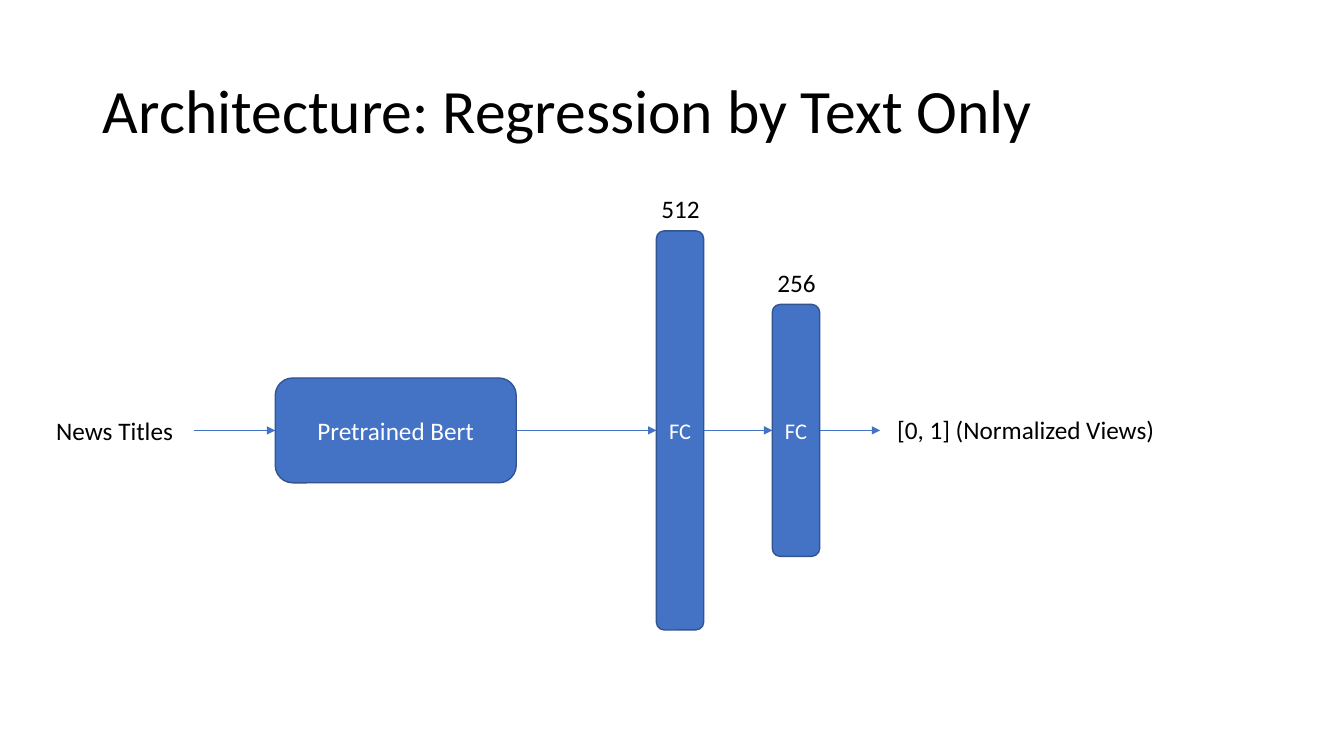
from pptx import Presentation, util as u
from pptx.dml.color import RGBColor
from pptx.enum import shapes, text
from pptx.oxml.ns import qn
from lxml import etree

PX = 9144  # 100 px to the inch
BLACK = RGBColor(0x00, 0x00, 0x00)
WHITE = RGBColor(0xFF, 0xFF, 0xFF)
BLUE = RGBColor(0x44, 0x72, 0xC4)
OUTLINE = RGBColor(0x32, 0x54, 0x91)
FLOW_Y = 427  # axis that every block is centred on


def place(left, top, width, height):
    return [u.Emu(n * PX) for n in (left, top, width, height)]


def write(shape, words, size, color, align):
    para = shape.text_frame.paragraphs[0]
    para.text = words
    para.alignment = align
    font = para.runs[0].font
    font.name, font.size, font.color.rgb = "Calibri", u.Pt(size), color


deck = Presentation()
deck.slide_width, deck.slide_height = u.Emu(1333 * PX), u.Emu(750 * PX)
page = deck.slides.add_slide(deck.slide_layouts[5])

# Title
title = page.shapes.title
title.left, title.top, title.width, title.height = place(92, 40, 1150, 145)
title.text_frame.vertical_anchor = text.MSO_ANCHOR.MIDDLE
write(title, "Architecture: Regression by Text Only", 44, BLACK, text.PP_ALIGN.LEFT)
title.text_frame.paragraphs[0].line_spacing = 0.9

# Arrows along the flow axis
for start, end in [(192, 273), (511, 651), (686, 766), (793, 873)]:
    arrow = page.shapes.add_connector(
        shapes.MSO_CONNECTOR.STRAIGHT, *[u.Emu(n * PX) for n in (start, FLOW_Y, end, FLOW_Y)])
    arrow.line.color.rgb = BLUE
    arrow.line.width = u.Pt(0.5)
    etree.SubElement(arrow.line._get_or_add_ln(), qn("a:tailEnd"), type="triangle")
    etree.SubElement(arrow._element.spPr, qn("a:effectLst"))

# Network blocks
for words, left, width, height, size in [
    ("Pretrained Bert", 273, 239, 104, 18),
    ("FC", 651, 47, 396, 16),
    ("FC", 766, 47, 250, 16),
]:
    block = page.shapes.add_shape(
        shapes.MSO_SHAPE.ROUNDED_RECTANGLE, *place(left, FLOW_Y - height // 2, width, height))
    block.shadow.inherit = False
    block.fill.solid()
    block.fill.fore_color.rgb = BLUE
    block.line.color.rgb = OUTLINE
    block.line.width = u.Pt(1)
    block.text_frame.vertical_anchor = text.MSO_ANCHOR.MIDDLE
    block.text_frame.word_wrap = False
    write(block, words, size, WHITE, text.PP_ALIGN.CENTER)

# Input, output and layer size labels
for words, left, top, width, align in [
    ("News Titles", 46, 407, 140, text.PP_ALIGN.LEFT),
    ("[0, 1] (Normalized Views)", 880, 406, 324, text.PP_ALIGN.LEFT),
    ("512", 641, 187, 68, text.PP_ALIGN.CENTER),
    ("256", 757, 260, 66, text.PP_ALIGN.CENTER),
]:
    label = page.shapes.add_textbox(*place(left, top, width, 40))
    label.text_frame.word_wrap = True
    label.text_frame.auto_size = text.MSO_AUTO_SIZE.SHAPE_TO_FIT_TEXT
    write(label, words, 18, BLACK, align)

deck.save("out.pptx")
